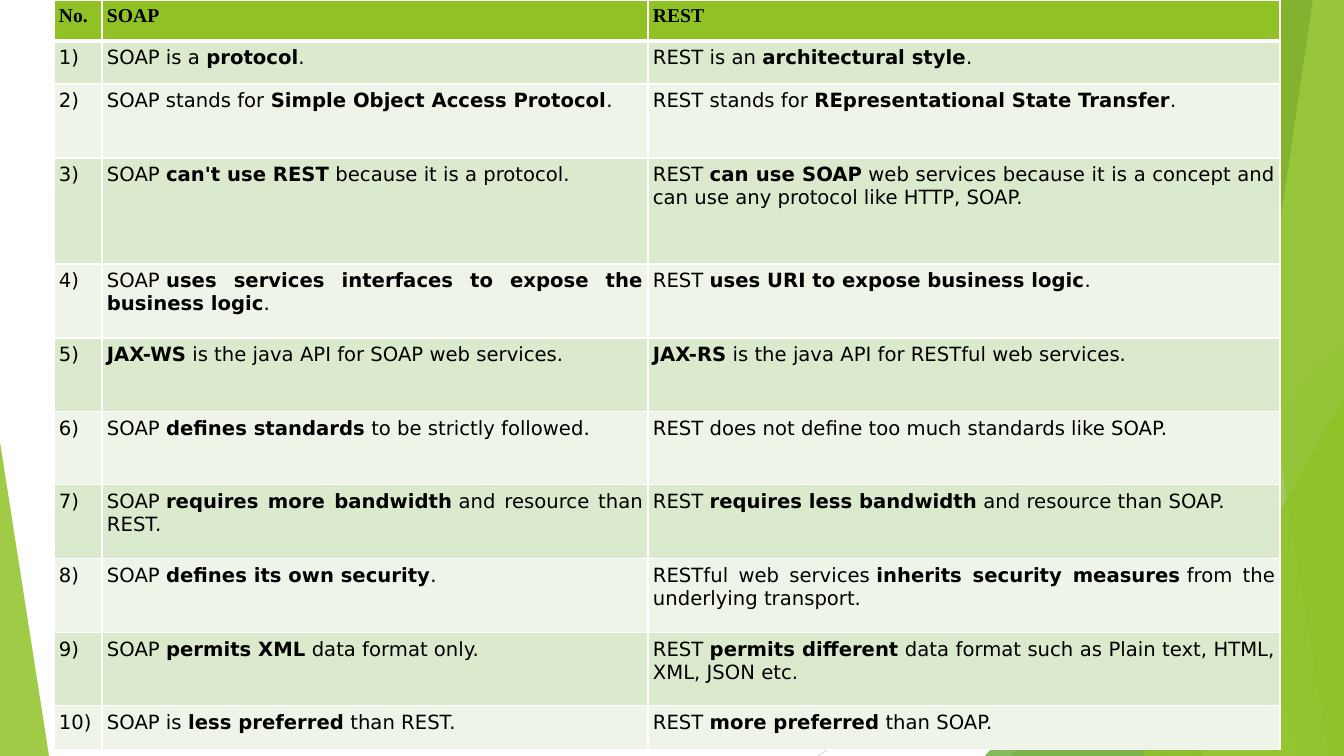
from collections import namedtuple
from dataclasses import dataclass

from lxml import etree
from pptx import Presentation
from pptx import util as u
from pptx.dml.color import RGBColor
from pptx.enum import shapes, text
from pptx.oxml import ns

PX = u.Inches(1) / 100.8
NBSP = chr(160)
Box = namedtuple("Box", "left top width height")


@dataclass(frozen=True)
class Theme:
    """Colours, fonts and sizes of the slide."""
    green: str = "90C226"
    leaf: str = "54A021"
    forest: str = "3F7819"
    lime: str = "C0E474"
    odd_row: str = "DBE9CD"
    even_row: str = "EEF4E8"
    border: str = "FFFFFF"
    ink: str = "000000"
    dark_rule: str = "BFBFBF"
    light_rule: str = "D9D9D9"
    header_font: str = "Times New Roman"
    body_font: str = "DejaVu Sans"
    size: int = 14


THEME = Theme()
COLUMN_WIDTHS = [48, 546, 632]
ROW_HEIGHTS = [41, 43, 74, 106, 74, 74, 73, 74, 74, 73, 44]
HEADER = ["No.", "SOAP", "REST"]
COMPARISONS = [
    ("SOAP is a *protocol*.", "REST is an *architectural style*."),
    ("SOAP stands for *Simple Object Access Protocol*.",
     "REST stands for *REpresentational State Transfer*."),
    ("SOAP *can't use REST* because it is a protocol.",
     "REST *can use SOAP* web services because it is a concept and can use "
     "any protocol like HTTP, SOAP."),
    ("SOAP *uses services interfaces to expose the business logic*.",
     "REST *uses URI to expose business logic*."),
    ("*JAX-WS* is the java API for SOAP web services.",
     "*JAX-RS* is the java API for RESTful web services."),
    ("SOAP *defines standards* to be strictly followed.",
     "REST does not define too much standards like SOAP."),
    ("SOAP *requires more bandwidth* and resource than REST.",
     "REST *requires less bandwidth* and resource than SOAP."),
    ("SOAP *defines its own security*.",
     "RESTful web services *inherits security measures* from the underlying transport."),
    ("SOAP *permits XML* data format only.",
     "REST *permits different* data format such as Plain text, HTML, XML, JSON etc."),
    ("SOAP is *less preferred* than REST.", "REST *more preferred* than SOAP."),
]


def px(length):
    """Turn pixels into EMU."""
    return u.Emu(round(length * PX))


def paint(shape, colour, opacity):
    """Give a shape a translucent fill without line or shadow."""
    shape.shadow.inherit = False
    shape.line.fill.background()
    shape.fill.solid()
    shape.fill.fore_color.rgb = RGBColor.from_string(colour)
    tint = shape.fill._xPr.find(".//" + ns.qn("a:srgbClr"))
    etree.SubElement(tint, ns.qn("a:alpha"), val=str(opacity * 1000))


def add_rule(slide, start, end, colour):
    """Draw a thin straight line."""
    rule = slide.shapes.add_connector(
        shapes.MSO_CONNECTOR.STRAIGHT, *map(px, start + end))
    rule.line.color.rgb = RGBColor.from_string(colour)
    rule.line.width = u.Pt(0.75)
    etree.SubElement(rule._element.spPr, ns.qn("a:effectLst"))


def add_triangle(slide, box, apex, colour, opacity):
    """Draw a triangle whose apex sits at a share of its width."""
    triangle = slide.shapes.add_shape(
        shapes.MSO_SHAPE.ISOSCELES_TRIANGLE, *map(px, box))
    triangle.adjustments[0] = apex
    paint(triangle, colour, opacity)


def add_band(slide, box, top_x, bottom_x, colour, opacity):
    """Draw a slanted band that reaches the right edge of the box."""
    right, bottom = box.left + box.width, box.top + box.height
    builder = slide.shapes.build_freeform(box.left + top_x, box.top, PX)
    builder.add_line_segments(
        [(right, box.top), (right, bottom), (box.left + bottom_x, bottom)])
    paint(builder.convert_to_shape(), colour, opacity)


def add_corner(slide, box, left, top, colour, opacity):
    """Draw a triangle that fills the lower right corner of the box."""
    corner = Box(box.left + left, box.top + top, box.width - left, box.height - top)
    add_triangle(slide, corner, 1, colour, opacity)


def add_facets(slide, box):
    """Draw the layered green facets along the right edge."""
    for x1, y1, x2, y2, colour in [(48, 0, 182, box.height, THEME.dark_rule),
                                   (box.width, 406, -167, box.height, THEME.light_rule)]:
        add_rule(slide, (box.left + x1, box.top + y1), (box.left + x2, box.top + y2), colour)
    for draw, first, second, colour, opacity in [
        (add_band, 253, 27, THEME.green, 30),
        (add_band, 73, 207, THEME.green, 20),
        (add_corner, 0, 336, THEME.leaf, 72),
        (add_band, 44, 316, THEME.forest, 70),
        (add_band, 328, 217, THEME.lime, 70),
        (add_band, 221, 344, THEME.green, 65),
        (add_corner, 158, 396, THEME.green, 80),
    ]:
        draw(slide, box, first, second, colour, opacity)


def format_cell(cell, fill, widths):
    """Set margins, border widths by side and fill of a cell."""
    cell.margin_left = cell.margin_right = px(5)
    cell.margin_top = cell.margin_bottom = px(5)
    properties = cell._tc.get_or_add_tcPr()
    for side, width in zip("LRTB", widths):
        line = etree.SubElement(properties, ns.qn("a:ln" + side), w=str(u.Pt(width)))
        solid = etree.SubElement(line, ns.qn("a:solidFill"))
        etree.SubElement(solid, ns.qn("a:srgbClr"), val=THEME.border)
    cell.fill.solid()
    cell.fill.fore_color.rgb = RGBColor.from_string(fill)


def write_cell(cell, words, header):
    """Write text run by run, with starred parts in bold."""
    paragraph = cell.text_frame.paragraphs[0]
    paragraph.alignment = text.PP_ALIGN.LEFT if header else text.PP_ALIGN.JUSTIFY
    parts = words.replace(" *", NBSP + "*").replace("* ", "*" + NBSP).split("*")
    for index, part in enumerate(parts):
        if part:
            run = paragraph.add_run()
            run.text = part
            run.font.name = THEME.header_font if header else THEME.body_font
            run.font.size = u.Pt(THEME.size)
            run.font.bold = header or index % 2 == 1
            run.font.color.rgb = RGBColor.from_string(THEME.ink)


def add_comparison(slide, box):
    """Add the table comparing SOAP and REST."""
    rows = [HEADER] + [(f"{number})", *pair) for number, pair in enumerate(COMPARISONS, 1)]
    table = slide.shapes.add_table(len(rows), len(HEADER), *map(px, box)).table
    table.horz_banding = False
    for column, width in zip(table.columns, COLUMN_WIDTHS):
        column.width = px(width)
    for index, (row, height, entries) in enumerate(zip(table.rows, ROW_HEIGHTS, rows)):
        row.height = px(height)
        header = index == 0
        stripe = THEME.odd_row if index % 2 else THEME.even_row
        widths = (1, 1, 3 if index == 1 else 1, 3 if header else 1)
        for cell, words in zip(row.cells, entries):
            format_cell(cell, THEME.green if header else stripe, widths)
            write_cell(cell, words, header)


def main():
    """Build and save the slide."""
    presentation = Presentation()
    presentation.slide_width, presentation.slide_height = px(1344), px(756)
    slide = presentation.slides.add_slide(presentation.slide_layouts[6])
    add_facets(slide, Box(985, 0, 359, 756))
    add_triangle(slide, Box(0, 442, 49, 314), 0, THEME.green, 85)
    add_comparison(slide, Box(54, 0, sum(COLUMN_WIDTHS), sum(ROW_HEIGHTS)))
    presentation.save("out.pptx")


if __name__ == "__main__":
    main()
